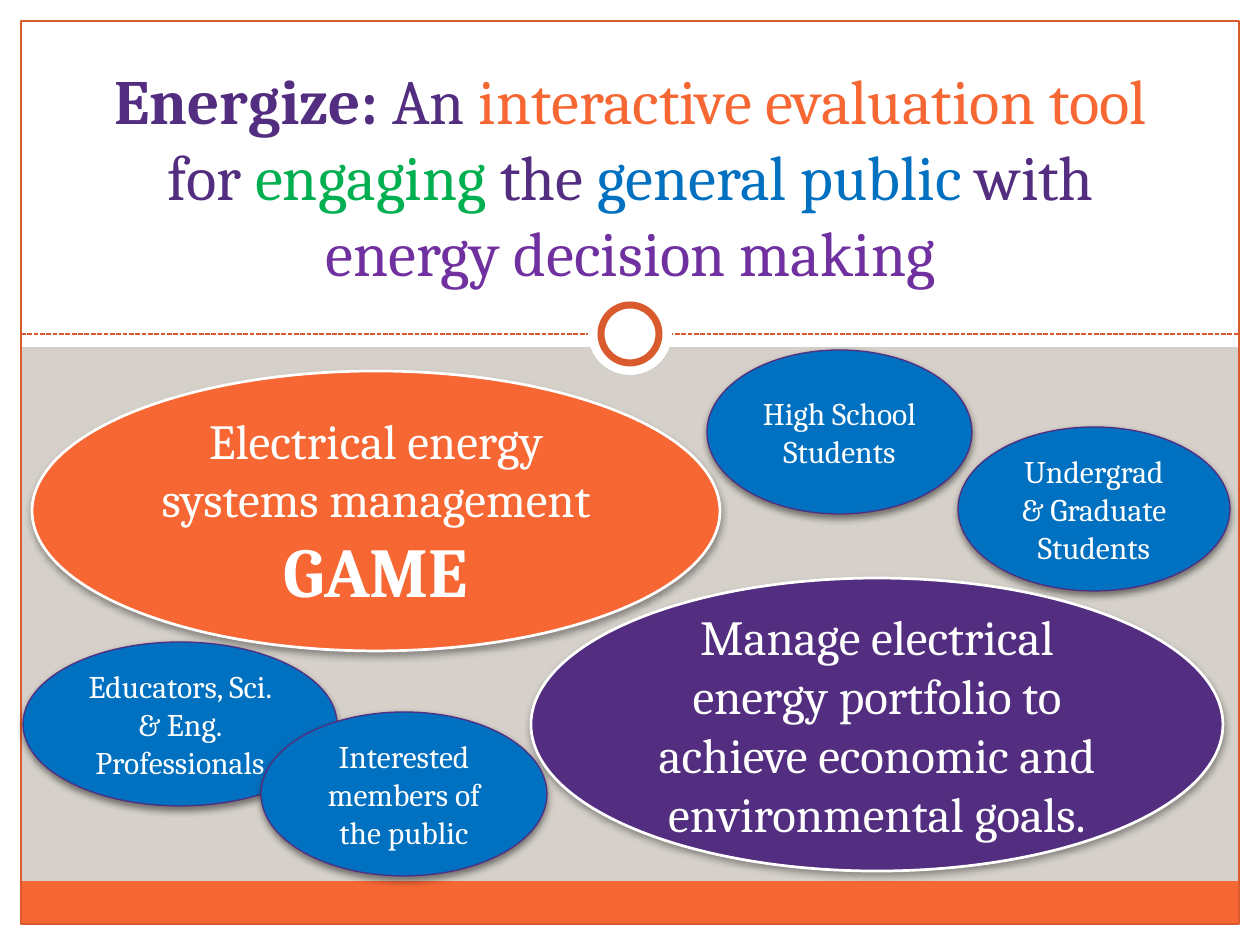
import lxml.etree
import pptx
import pptx.util
from pptx.dml.color import RGBColor
from pptx.enum.dml import MSO_LINE
from pptx.enum.shapes import MSO_CONNECTOR, MSO_SHAPE
from pptx.enum.text import MSO_ANCHOR, MSO_AUTO_SIZE, PP_ALIGN
from pptx.oxml.ns import qn

PX_PER_INCH = 126
SLIDE_WIDTH, SLIDE_HEIGHT = 1260, 945
MARGIN = 21
FONT = "Cambria"

WHITE = RGBColor(0xFF, 0xFF, 0xFF)
STONE = RGBColor(0xD5, 0xD0, 0xC9)
ORANGE = RGBColor(0xF6, 0x67, 0x33)
RUST = RGBColor(0xD9, 0x5B, 0x2D)
INDIGO = RGBColor(0x52, 0x2D, 0x80)
VIOLET = RGBColor(0x70, 0x30, 0xA0)
GREEN = RGBColor(0x00, 0xB0, 0x50)
BLUE = RGBColor(0x00, 0x70, 0xC0)


def px(length):
    return pptx.util.Emu(round(length * 914400 / PX_PER_INCH))


def add_run(paragraph, text, size, color=WHITE, bold=False):
    run = paragraph.add_run()
    run.text = text
    run.font.name = FONT
    run.font.size = pptx.util.Pt(size)
    run.font.bold = bold
    run.font.color.rgb = color


def add_plain_shape(slide, kind, box, fill=None, line=None, line_width=0.75):
    shape = slide.shapes.add_shape(kind, *map(px, box))
    shape.shadow.inherit = False
    if fill is None:
        shape.fill.background()
    else:
        shape.fill.solid()
        shape.fill.fore_color.rgb = fill
    if line is None:
        shape.line.fill.background()
    else:
        shape.line.color.rgb = line
        shape.line.width = pptx.util.Pt(line_width)
    return shape


def add_shadow(shape, opacity):
    """Drop a soft black shadow straight down from the shape."""
    effects = shape._element.spPr.find(qn("a:effectLst"))
    shadow = lxml.etree.SubElement(
        effects, qn("a:outerShdw"), blurRad=str(pptx.util.Pt(4)),
        dist=str(pptx.util.Pt(2)), dir="5400000", rotWithShape="0")
    color = lxml.etree.SubElement(shadow, qn("a:srgbClr"), val="000000")
    lxml.etree.SubElement(color, qn("a:alpha"), val=str(opacity * 1000))


def add_bubble(slide, box, runs, fill, line, line_width, opacity, inset):
    """Add an ellipse with centred text; runs are (text, size, bold)."""
    bubble = add_plain_shape(slide, MSO_SHAPE.OVAL, box, fill, line, line_width)
    add_shadow(bubble, opacity)
    frame = bubble.text_frame
    frame.word_wrap = True
    frame.vertical_anchor = MSO_ANCHOR.MIDDLE
    if not inset:
        frame.margin_left = frame.margin_right = 0
        frame.margin_top = frame.margin_bottom = 0
    paragraph = frame.paragraphs[0]
    paragraph.alignment = PP_ALIGN.CENTER
    for text, size, bold in runs:
        add_run(paragraph, text, size, bold=bold)


def add_topic(slide, box, runs, fill):
    add_bubble(slide, box, runs, fill, WHITE, 1.57, opacity=35, inset=False)


def add_audience(slide, left, top, width, text):
    add_bubble(slide, (left, top, width, 164), [(text, 18, False)],
               BLUE, INDIGO, 0.75, opacity=45, inset=True)


def add_divider(slide, y):
    divider = slide.shapes.add_connector(
        MSO_CONNECTOR.STRAIGHT, px(MARGIN), px(y), px(SLIDE_WIDTH - MARGIN), px(y))
    divider.line.color.rgb = RUST
    divider.line.width = pptx.util.Pt(0.9)
    divider.line.dash_style = MSO_LINE.SQUARE_DOT
    lxml.etree.SubElement(divider._element.spPr, qn("a:effectLst"))


def add_frame(slide):
    """Add the white margins, header, footer band, divider and ring."""
    inner_width = SLIDE_WIDTH - 2 * MARGIN
    inner_height = SLIDE_HEIGHT - 2 * MARGIN
    bottom, right = SLIDE_HEIGHT - MARGIN, SLIDE_WIDTH - MARGIN
    white_areas = [
        (0, bottom, SLIDE_WIDTH, MARGIN),
        (right, 0, MARGIN, SLIDE_HEIGHT),
        (0, 0, MARGIN, SLIDE_HEIGHT),
        (0, 0, SLIDE_WIDTH, 347),
    ]
    for box in white_areas:
        add_plain_shape(slide, MSO_SHAPE.RECTANGLE, box, WHITE)
    add_plain_shape(slide, MSO_SHAPE.RECTANGLE,
                    (MARGIN, 881, inner_width, bottom - 881), ORANGE)
    add_divider(slide, 334)
    add_plain_shape(slide, MSO_SHAPE.RECTANGLE,
                    (MARGIN, MARGIN, inner_width, inner_height), line=RUST)
    add_plain_shape(slide, MSO_SHAPE.OVAL, (588, 291, 84, 84), WHITE)
    add_plain_shape(slide, MSO_SHAPE.OVAL, (601, 305, 58, 58), WHITE, RUST, 4)


def fill_title(title, runs):
    title.left, title.top, title.width, title.height = map(px, (95, 53, 1071, 242))
    frame = title.text_frame
    frame.word_wrap = True
    frame.auto_size = MSO_AUTO_SIZE.NONE
    frame.vertical_anchor = MSO_ANCHOR.BOTTOM
    paragraph = frame.paragraphs[0]
    paragraph.alignment = PP_ALIGN.CENTER
    for text, color, bold in runs:
        add_run(paragraph, text, 36, color=color, bold=bold)


def main():
    presentation = pptx.Presentation()
    presentation.slide_width = px(SLIDE_WIDTH)
    presentation.slide_height = px(SLIDE_HEIGHT)
    slide = presentation.slides.add_slide(presentation.slide_layouts[0])
    slide.background.fill.solid()
    slide.background.fill.fore_color.rgb = STONE
    title, subtitle = slide.placeholders
    subtitle._element.getparent().remove(subtitle._element)

    add_frame(slide)
    slide.shapes._spTree.append(title._element)  # in front of the frame
    fill_title(title, [
        ("Energize: ", INDIGO, True),
        ("An ", INDIGO, False),
        ("interactive evaluation tool ", ORANGE, False),
        ("for ", INDIGO, False),
        ("engaging", GREEN, False),
        (" the ", INDIGO, False),
        ("general public ", BLUE, False),
        ("with ", INDIGO, False),
        ("energy decision making", VIOLET, False),
    ])

    add_topic(slide, (32, 371, 688, 280), [
        ("Electrical energy systems management ", 28, False),
        ("GAME", 40, True),
    ], ORANGE)
    add_topic(slide, (531, 578, 692, 293), [
        ("Manage electrical energy portfolio to achieve economic and "
         "environmental goals.", 28, False),
    ], INDIGO)

    audiences = [
        (707, 350, 265, "High School Students"),
        (958, 427, 272, "Undergrad & Graduate Students"),
        (23, 642, 314, "Educators, Sci. & Eng. Professionals"),
        (261, 712, 286, "Interested members of the public"),
    ]
    for left, top, width, text in audiences:
        add_audience(slide, left, top, width, text)

    presentation.save("out.pptx")


if __name__ == "__main__":
    main()
